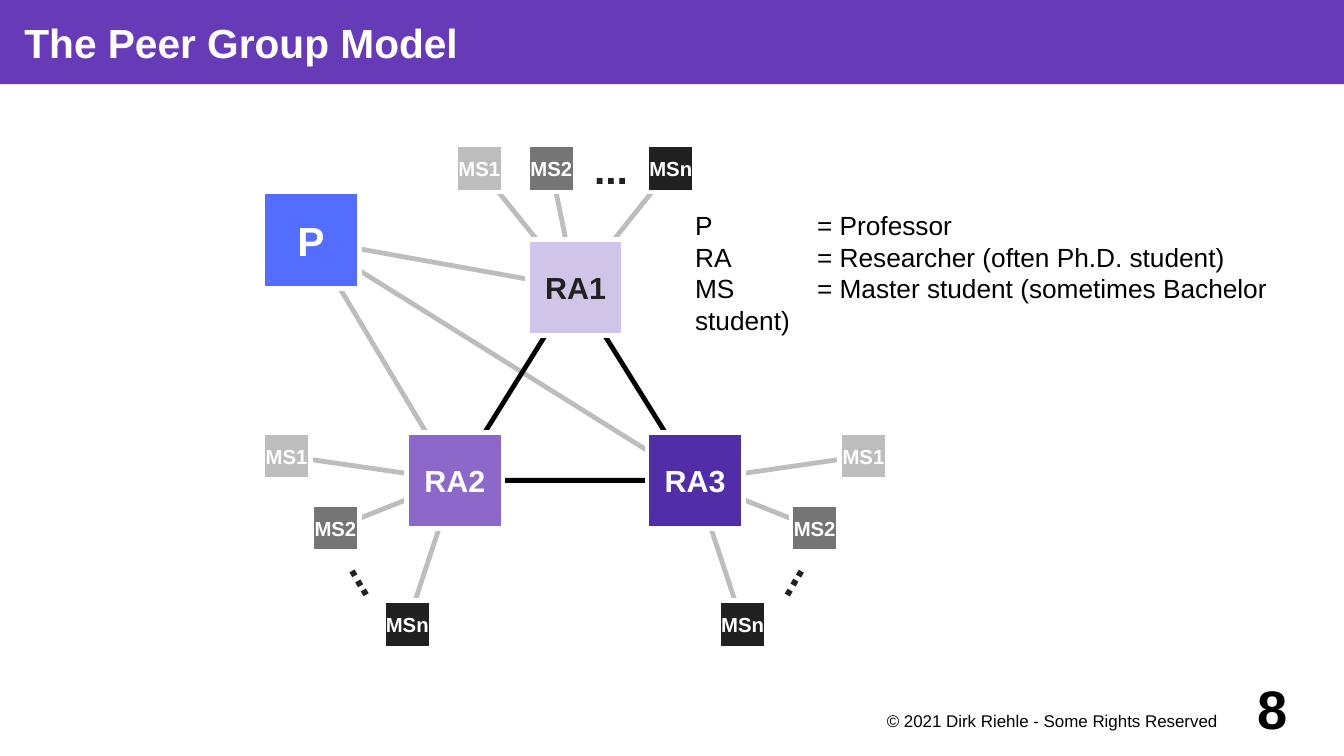
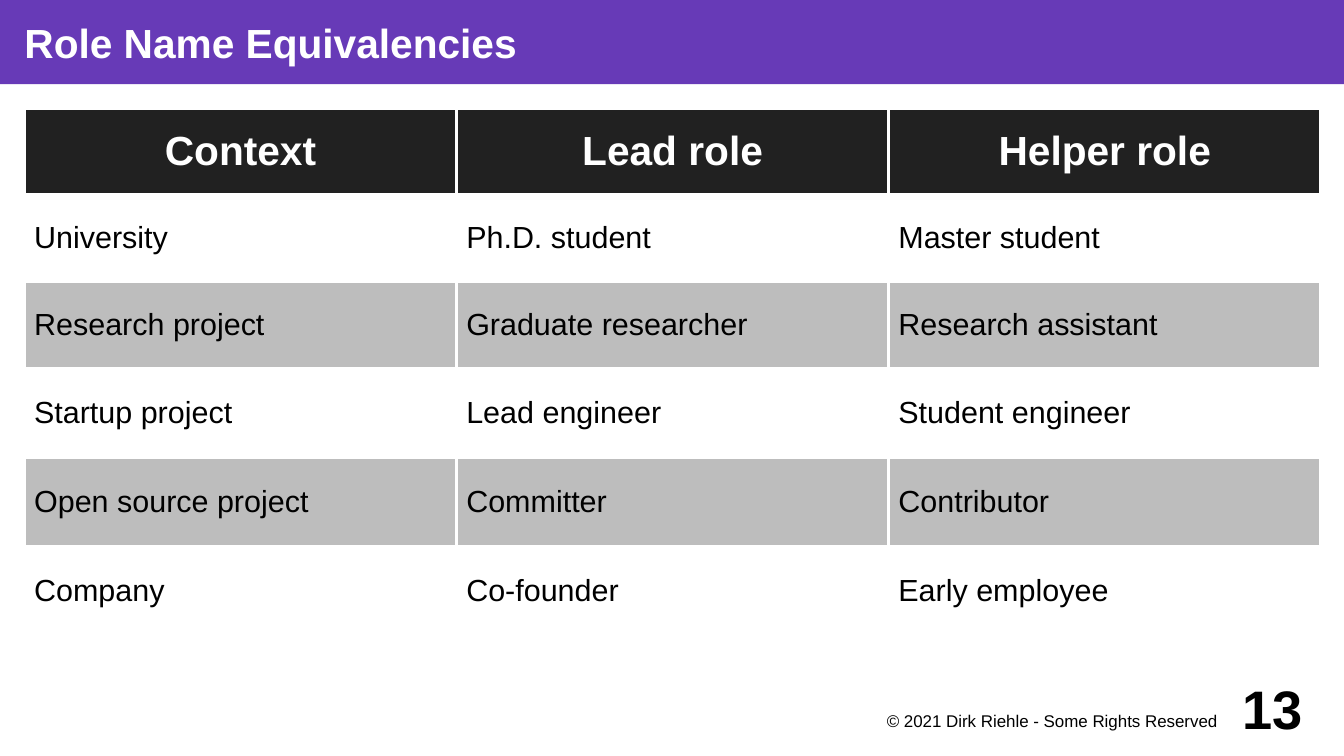
from lxml.etree import SubElement
from pptx import Presentation
from pptx.dml.color import RGBColor
from pptx.enum.shapes import MSO_CONNECTOR, MSO_SHAPE
from pptx.enum.text import MSO_ANCHOR, MSO_AUTO_SIZE, PP_ALIGN
from pptx.oxml import parse_xml
from pptx.oxml.ns import nsdecls, qn
from pptx.util import Inches, Pt

SLIDE_WIDTH, SLIDE_HEIGHT = 11.02, 6.2
FONT = "Arial"
BLACK, WHITE, INK = "000000", "FFFFFF", "212121"
PURPLE, LIGHT_GREY, MID_GREY = "673AB7", "BDBDBD", "757575"
EDGE_WIDTH = 2.83
COPYRIGHT = "© 2021 Dirk Riehle - Some Rights Reserved"

RESEARCHER_SIDE, STUDENT_SIDE = 0.79, 0.39
PROFESSOR = (0.39, 0.79)
RESEARCHERS = [
    ("RA1", (2.56, 1.18), "D1C4E9", INK),
    ("RA2", (1.57, 2.76), "8C68CA", WHITE),
    ("RA3", (3.54, 2.76), "512DA8", WHITE),
]
STUDENTS = [("MS1", LIGHT_GREY), ("MS2", MID_GREY), ("MSn", INK)]
TOP_OFFSETS = [(-0.79, -0.98), (-0.2, -0.98), (0.78, -0.98)]
LEFT_OFFSETS = [(-1.38, -0.2), (-0.98, 0.39), (-0.39, 1.18)]
RIGHT_OFFSETS = [(-dx, dy) for dx, dy in LEFT_OFFSETS]
TEAMS = [
    (TOP_OFFSETS, (0.29, -0.98), 0),
    (LEFT_OFFSETS, (-0.69, 0.79), 60),
    (RIGHT_OFFSETS, (0.72, 0.79), 300),
]
LEGEND = (
    "P\t= Professor\n"
    "RA\t= Researcher (often Ph.D. student)\n"
    "MS\t= Master student (sometimes Bachelor student)"
)
ROLES = [
    ("Context", "Lead role", "Helper role"),
    ("University", "Ph.D. student", "Master student"),
    ("Research project", "Graduate researcher", "Research assistant"),
    ("Startup project", "Lead engineer", "Student engineer"),
    ("Open source project", "Committer", "Contributor"),
    ("Company", "Co-founder", "Early employee"),
]
ROW_HEIGHTS = [0.71, 0.71, 0.71, 0.73, 0.73, 0.73]


def color(code):
    return RGBColor.from_string(code)


def write(frame, text, size=18, ink=BLACK, bold=False, align=PP_ALIGN.LEFT,
          anchor=MSO_ANCHOR.MIDDLE, insets=(0, 0, 0, 0), wrap=True, tab=None):
    frame.word_wrap = wrap
    frame.auto_size = MSO_AUTO_SIZE.NONE
    frame.vertical_anchor = anchor
    (frame.margin_left, frame.margin_top,
     frame.margin_right, frame.margin_bottom) = map(Inches, insets)
    write_paragraphs(frame, text, size, ink, bold, align, tab)


def write_paragraphs(frame, text, size, ink, bold, align, tab=None):
    for index, line in enumerate(text.split("\n")):
        paragraph = frame.add_paragraph() if index else frame.paragraphs[0]
        paragraph.alignment = align
        if tab:
            stops = SubElement(paragraph._p.get_or_add_pPr(), qn("a:tabLst"))
            SubElement(stops, qn("a:tab"), pos=str(Inches(tab)), algn="l")
        run = paragraph.add_run()
        run.text = line
        run.font.name = FONT
        run.font.size = Pt(size)
        run.font.bold = bold
        run.font.color.rgb = color(ink)


def add_label(slide, box, text, rotation=0, **text_format):
    label = slide.shapes.add_textbox(*map(Inches, box))
    label.rotation = rotation
    write(label.text_frame, text, **text_format)


def centered_box(center, width, height):
    return center[0] - width / 2, center[1] - height / 2, width, height


def add_node(slide, center, side, text, fill, **text_format):
    node = slide.shapes.add_shape(
        MSO_SHAPE.RECTANGLE, *map(Inches, centered_box(center, side, side)))
    node.shadow.inherit = False
    node.fill.solid()
    node.fill.fore_color.rgb = color(fill)
    node.line.color.rgb = color(WHITE)
    node.line.width = Pt(EDGE_WIDTH)
    write(node.text_frame, text, bold=True, align=PP_ALIGN.CENTER,
          insets=(0.08,) * 4, wrap=False, **text_format)


def add_edge(slide, start, end):
    edge = slide.shapes.add_connector(
        MSO_CONNECTOR.STRAIGHT, *map(Inches, (*start, *end)))
    edge.line.color.rgb = color(LIGHT_GREY)
    edge.line.width = Pt(EDGE_WIDTH)
    SubElement(edge._element.spPr, qn("a:effectLst"))


def add_researcher_triangle(slide, apex, left_corner, right_corner):
    triangle = slide.shapes.add_shape(
        MSO_SHAPE.ISOSCELES_TRIANGLE,
        Inches(left_corner[0]), Inches(apex[1]),
        Inches(right_corner[0] - left_corner[0]),
        Inches(left_corner[1] - apex[1]))
    triangle.shadow.inherit = False
    triangle.fill.background()
    triangle.line.color.rgb = color(BLACK)
    triangle.line.width = Pt(EDGE_WIDTH)


def add_team(slide, researcher, offsets, dots_offset, dots_rotation):
    def beside(offset):
        return researcher[0] + offset[0], researcher[1] + offset[1]

    for offset in offsets:
        add_edge(slide, beside(offset), researcher)
    for offset, (name, fill) in zip(offsets, STUDENTS):
        add_node(slide, beside(offset), STUDENT_SIDE, name, fill,
                 size=12, ink=WHITE)
    add_label(slide, centered_box(beside(dots_offset), 0.59, 0.39), "...",
              rotation=dots_rotation, size=24, ink=INK, bold=True,
              align=PP_ALIGN.CENTER, insets=(0.08,) * 4, wrap=False)


def add_peer_group(slide, left, top):
    def place(point):
        return left + point[0], top + point[1]

    professor = place(PROFESSOR)
    centers = [place(center) for _, center, _, _ in RESEARCHERS]
    for center in centers:
        add_edge(slide, professor, center)
    add_researcher_triangle(slide, *centers)
    for center, team in zip(centers, TEAMS):
        add_team(slide, center, *team)
    add_node(slide, professor, RESEARCHER_SIDE, "P", "536DFE",
             size=24, ink=WHITE)
    for center, (name, _, fill, ink) in zip(centers, RESEARCHERS):
        add_node(slide, center, RESEARCHER_SIDE, name, fill, size=18, ink=ink)


def add_cell_borders(cell):
    properties = cell._tc.get_or_add_tcPr()
    for index, side in enumerate(("lnL", "lnR", "lnT", "lnB")):
        properties.insert(index, parse_xml(
            f'<a:{side} {nsdecls("a")} w="{Pt(2.27)}"><a:solidFill>'
            f'<a:srgbClr val="{WHITE}"/></a:solidFill></a:{side}>'))


def add_role_table(slide, left, top, width):
    roles = slide.shapes.add_table(
        len(ROLES), len(ROLES[0]), Inches(left), Inches(top),
        Inches(width), Inches(sum(ROW_HEIGHTS))).table
    roles.horz_banding = False
    for row, height in zip(roles.rows, ROW_HEIGHTS):
        row.height = Inches(height)
    for row_index, names in enumerate(ROLES):
        header = row_index == 0
        fill = INK if header else WHITE if row_index % 2 else LIGHT_GREY
        for column_index, name in enumerate(names):
            cell = roles.cell(row_index, column_index)
            cell.fill.solid()
            cell.fill.fore_color.rgb = color(fill)
            cell.vertical_anchor = MSO_ANCHOR.MIDDLE
            cell.margin_left = cell.margin_right = Inches(0.08)
            cell.margin_top = cell.margin_bottom = Inches(0.05)
            write_paragraphs(
                cell.text_frame, name, 24 if header else 18,
                WHITE if header else BLACK, header,
                PP_ALIGN.CENTER if header else PP_ALIGN.LEFT)
            add_cell_borders(cell)


def add_framed_slide(deck, heading, number):
    slide = deck.slides.add_slide(deck.slide_layouts.get_by_name("Title Only"))
    title = slide.shapes.title
    title.left, title.top = Inches(0), Inches(0)
    title.width, title.height = Inches(SLIDE_WIDTH), Inches(0.69)
    title.fill.solid()
    title.fill.fore_color.rgb = color(PURPLE)
    write(title.text_frame, heading, size=24, ink=WHITE, bold=True,
          insets=(0.2, 0, 0, 0))
    add_label(slide, (7.09, 5.81, 3.15, 0.3), COPYRIGHT, size=10,
              align=PP_ALIGN.CENTER, anchor=MSO_ANCHOR.TOP,
              insets=(0, 0.02, 0.08, 0))
    add_label(slide, (10.04, 5.51, 0.79, 0.59), number, size=32, bold=True,
              align=PP_ALIGN.CENTER)
    return slide


def main():
    deck = Presentation()
    deck.slide_width = Inches(SLIDE_WIDTH)
    deck.slide_height = Inches(SLIDE_HEIGHT)

    model = add_framed_slide(deck, "The Peer Group Model", "8")
    add_peer_group(model, 2.16, 1.18)
    add_label(model, (5.7, 1.18, 4.93, 1.57), LEGEND, size=15.5,
              anchor=MSO_ANCHOR.BOTTOM, tab=1)

    equivalencies = add_framed_slide(deck, "Role Name Equivalencies", "13")
    add_role_table(equivalencies, 0.2, 0.89, 10.63)

    deck.save("out.pptx")


if __name__ == "__main__":
    main()
